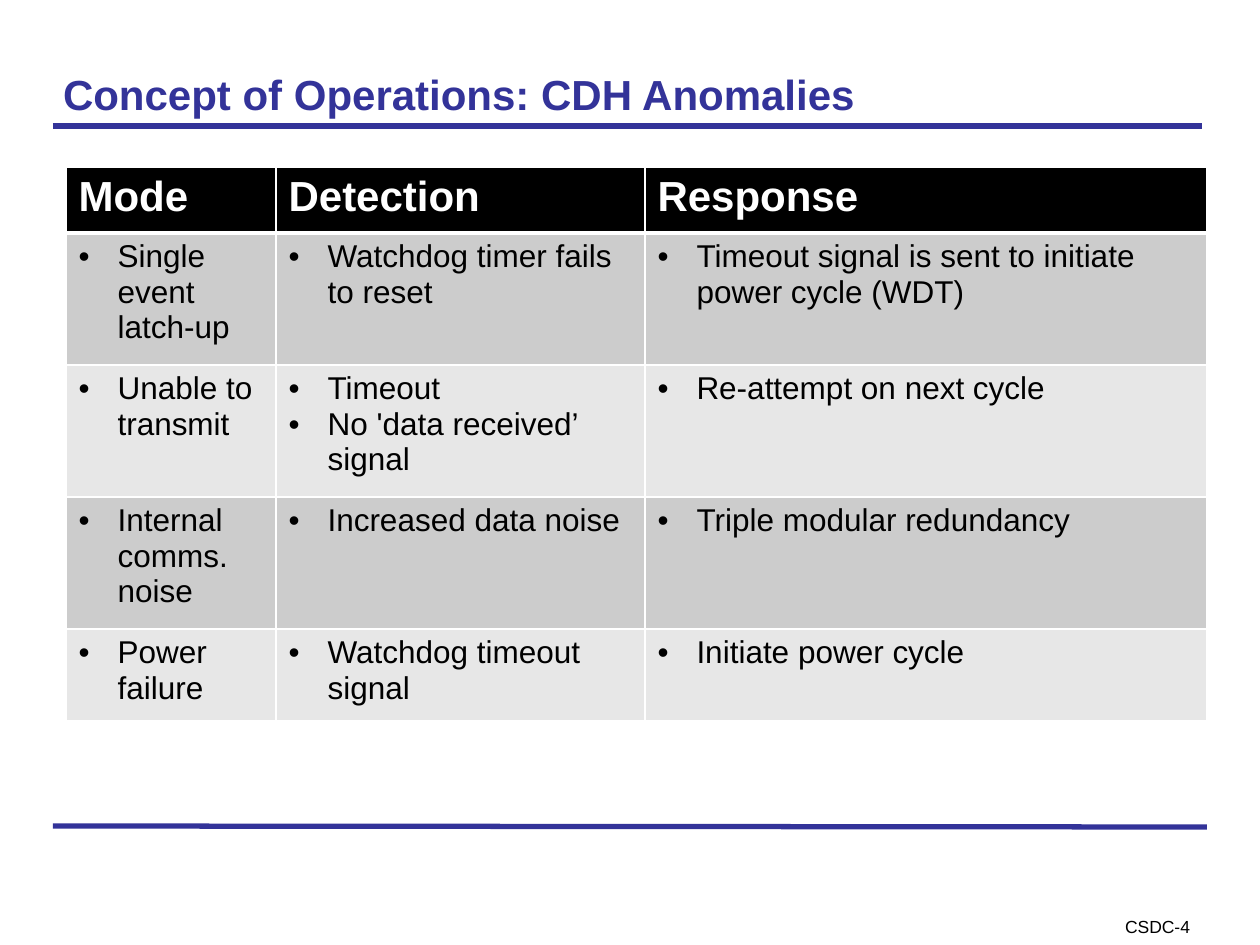
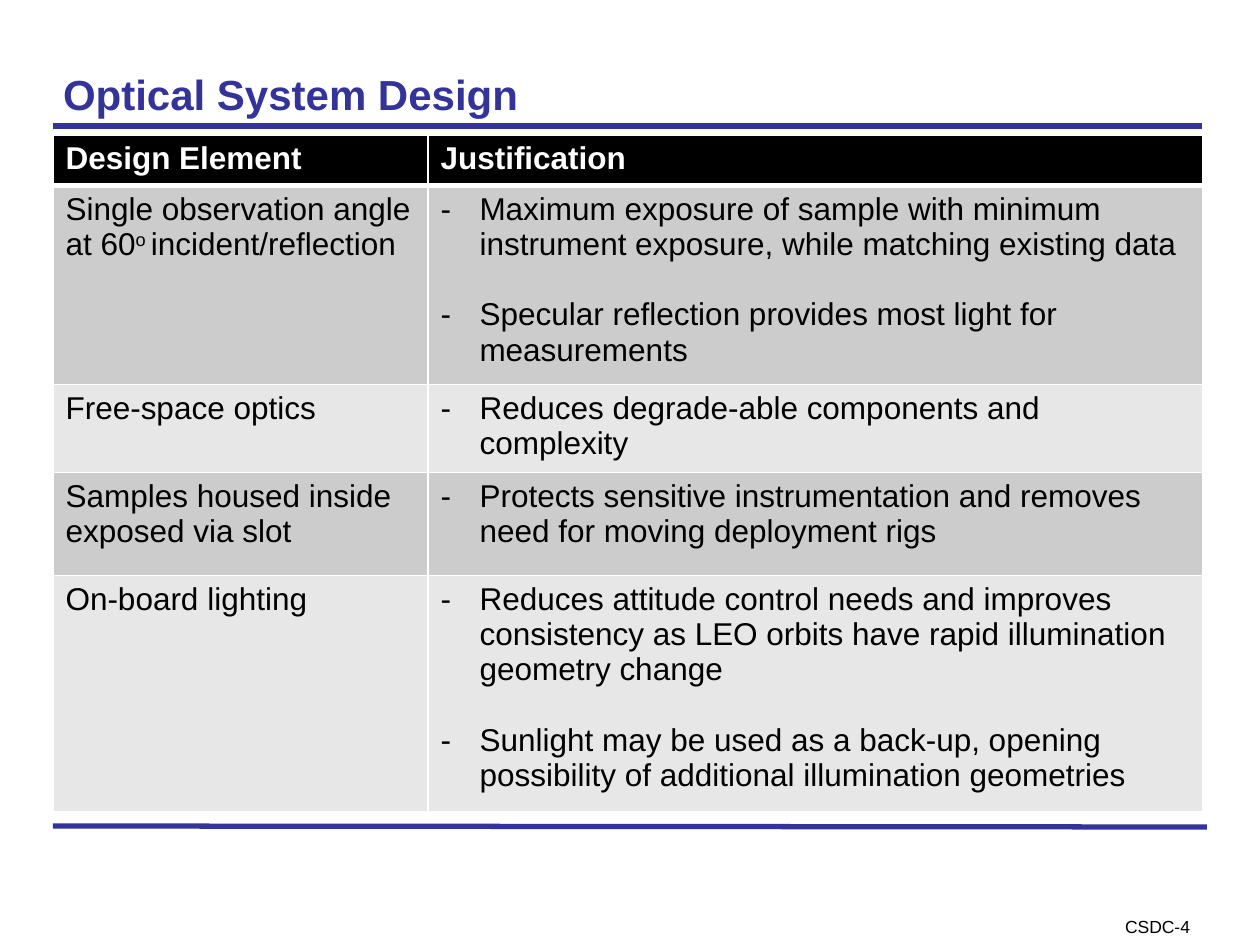
import dataclasses

import lxml.etree
import pptx
import pptx.dml.color
import pptx.enum.shapes
import pptx.enum.text
import pptx.oxml.ns
import pptx.util

FOOTER = "CSDC-4"

# Each cell is a list of paragraphs; text between carets is superscript.
# "markers" gives the bullet of each column, "gap" the points between paragraphs.
SLIDES = [
    {
        "title": "Concept of Operations: CDH Anomalies",
        "header": ["Mode", "Detection", "Response"],
        "header_size": 24,
        "markers": ["•", "•", "•"],
        "gap": 0,
        "corner": (66, 167),
        "columns": [210, 369, 562],
        "heights": [66, 132, 132, 132, 92],
        "rows": [
            [["Single event latch-up"],
             ["Watchdog timer fails to reset"],
             ["Timeout signal is sent to initiate power cycle (WDT)"]],
            [["Unable to transmit"],
             ["Timeout", "No 'data received’ signal"],
             ["Re-attempt on next cycle"]],
            [["Internal comms. noise"],
             ["Increased data noise"],
             ["Triple modular redundancy"]],
            [["Power failure"],
             ["Watchdog timeout signal"],
             ["Initiate power cycle"]],
        ],
    },
    {
        "title": "Optical System Design",
        "header": ["Design Element", "Justification"],
        "header_size": 18,
        "markers": [None, "-"],
        "gap": 20,
        "corner": (53, 135),
        "columns": [375, 775],
        "heights": [50, 190, 83, 103, 223],
        "rows": [
            [["Single observation angle at 60^o ^incident/reflection"],
             ["Maximum exposure of sample with minimum instrument exposure, "
              "while matching existing data",
              "Specular reflection provides most light for measurements"]],
            [["Free-space optics"],
             ["Reduces degrade-able components and complexity"]],
            [["Samples housed inside exposed via slot"],
             ["Protects sensitive instrumentation and removes need for "
              "moving deployment rigs"]],
            [["On-board lighting"],
             ["Reduces attitude control needs and improves consistency as LEO "
              "orbits have rapid illumination geometry change",
              "Sunlight may be used as a back-up, opening possibility of "
              "additional illumination geometries"]],
        ],
    },
]


@dataclasses.dataclass(frozen=True)
class Theme:
    font: str = "Arial"
    accent: str = "333399"
    ink: str = "000000"
    paper: str = "FFFFFF"
    bands: tuple = ("CCCCCC", "E7E7E7")
    title_size: int = 24
    body_size: int = 18
    footer_size: int = 10
    rule_width: int = 3
    grid_width: int = 1


THEME = Theme()
PX_PER_INCH = 126
INDENT = 39
TITLE_BOX = (60, 55, 1137, 78)
FOOTER_BOX = (1090, 916, 135, 18)
RULES = [(53, 826, 1207, 827), (53, 126, 1202, 126)]


def px(length):
    return pptx.util.Emu(round(length * pptx.util.Inches(1) / PX_PER_INCH))


def rgb(colour):
    return pptx.dml.color.RGBColor.from_string(colour)


def set_font(paragraph, size, colour, bold=False):
    font = paragraph.font
    font.name, font.size, font.bold = THEME.font, pptx.util.Pt(size), bold
    font.color.rgb = rgb(colour)


def place(shape, box):
    shape.left, shape.top, shape.width, shape.height = map(px, box)


def set_insets(frame, sides, ends):
    frame.margin_left = frame.margin_right = px(sides)
    frame.margin_top = frame.margin_bottom = px(ends)


def add_element(parent, tag, **attributes):
    return lxml.etree.SubElement(parent, pptx.oxml.ns.qn(tag), attributes)


def add_rule(slide, ends):
    rule = slide.shapes.add_connector(
        pptx.enum.shapes.MSO_CONNECTOR.STRAIGHT, *map(px, ends))
    rule.line.color.rgb = rgb(THEME.accent)
    rule.line.width = pptx.util.Pt(THEME.rule_width)
    add_element(rule._element.spPr, "a:effectLst")


def add_title(slide, text):
    title = slide.shapes.title
    place(title, TITLE_BOX)
    frame = title.text_frame
    frame.text = text
    frame.auto_size = pptx.enum.text.MSO_AUTO_SIZE.NONE
    frame.vertical_anchor = pptx.enum.text.MSO_ANCHOR.MIDDLE
    set_insets(frame, 3, 6)
    heading = frame.paragraphs[0]
    heading.alignment = pptx.enum.text.PP_ALIGN.LEFT
    set_font(heading, THEME.title_size, THEME.accent, bold=True)


def add_footer(slide):
    frame = slide.shapes.add_textbox(*map(px, FOOTER_BOX)).text_frame
    frame.word_wrap = True
    frame.text = FOOTER
    set_insets(frame, 10, 0)
    label = frame.paragraphs[0]
    label.alignment = pptx.enum.text.PP_ALIGN.CENTER
    set_font(label, THEME.footer_size, THEME.ink)


def style_cell(cell, fill, top, bottom):
    """Draw the four cell borders, then the fill that must follow them."""
    properties = cell._tc.get_or_add_tcPr()
    grid = THEME.grid_width
    for side, width in zip("LRTB", (grid, grid, top, bottom)):
        border = add_element(properties, f"a:ln{side}", w=str(pptx.util.Pt(width)))
        add_element(add_element(border, "a:solidFill"), "a:srgbClr", val=THEME.paper)
    cell.fill.solid()
    cell.fill.fore_color.rgb = rgb(fill)


def add_marker(paragraph, marker):
    properties = paragraph._p.get_or_add_pPr()
    properties.set("marL", str(px(INDENT)))
    properties.set("indent", str(-px(INDENT)))
    add_element(properties, "a:buFont", typeface=THEME.font)
    add_element(properties, "a:buChar", char=marker)


def write_runs(paragraph, text):
    for position, part in enumerate(text.split("^")):
        run = paragraph.add_run()
        run.text = part
        if position % 2:
            run.font._element.set("baseline", "30000")


def fill_cell(cell, texts, marker, gap):
    frame = cell.text_frame
    for position, text in enumerate(texts):
        paragraph = frame.add_paragraph() if position else frame.paragraphs[0]
        if position and gap:
            paragraph.space_before = pptx.util.Pt(gap)
        if marker:
            add_marker(paragraph, marker)
        write_runs(paragraph, text)
        set_font(paragraph, THEME.body_size, THEME.ink)


def add_design_table(slide, content):
    columns, heights = content["columns"], content["heights"]
    box = (*content["corner"], sum(columns), sum(heights))
    table = slide.shapes.add_table(len(heights), len(columns), *map(px, box)).table
    for column, width in zip(table.columns, columns):
        column.width = px(width)
    for row, height in zip(table.rows, heights):
        row.height = px(height)

    for cell, text in zip(table.rows[0].cells, content["header"]):
        style_cell(cell, THEME.ink, THEME.grid_width, THEME.rule_width)
        cell.text = text
        set_font(cell.text_frame.paragraphs[0], content["header_size"],
                 THEME.paper, bold=True)

    for index, texts in enumerate(content["rows"]):
        top = THEME.grid_width if index else THEME.rule_width
        band = THEME.bands[index % len(THEME.bands)]
        cells = table.rows[index + 1].cells
        for cell, paragraphs, marker in zip(cells, texts, content["markers"]):
            style_cell(cell, band, top, THEME.grid_width)
            fill_cell(cell, paragraphs, marker, content["gap"])


def main():
    deck = pptx.Presentation()
    deck.slide_width, deck.slide_height = px(1260), px(945)
    title_only = deck.slide_layouts.get_by_name("Title Only")
    for content in SLIDES:
        slide = deck.slides.add_slide(title_only)
        for ends in RULES:
            add_rule(slide, ends)
        add_footer(slide)
        add_title(slide, content["title"])
        add_design_table(slide, content)
    deck.save("out.pptx")


if __name__ == "__main__":
    main()
